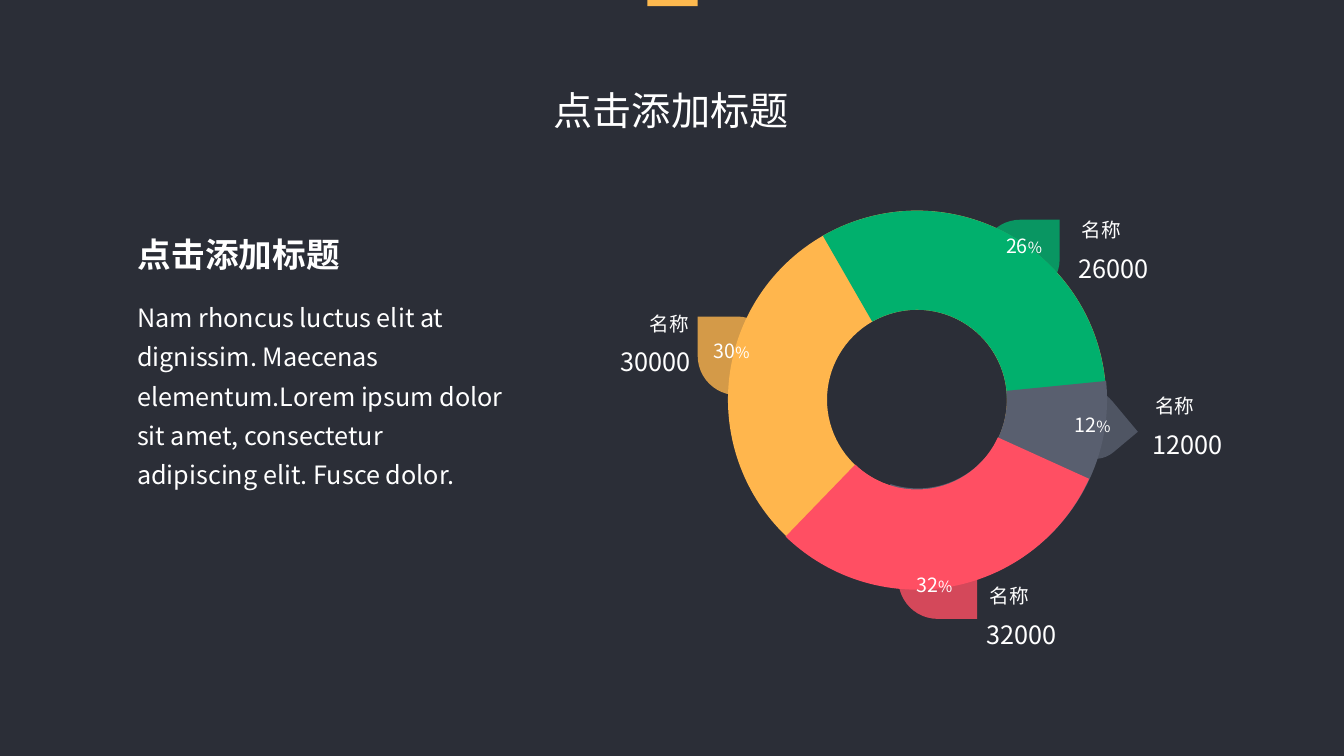
import lxml.etree
import pptx
import pptx.dml.color
import pptx.enum.shapes
import pptx.enum.text
import pptx.oxml.ns
import pptx.util

Inches = pptx.util.Inches
Pt = pptx.util.Pt
SHAPES = pptx.enum.shapes.MSO_SHAPE
ALIGN = pptx.enum.text.PP_ALIGN
AUTO_SIZE = pptx.enum.text.MSO_AUTO_SIZE
qn = pptx.oxml.ns.qn

FONT = "Noto Sans CJK SC"
COLORS = {
    "background": "2B2E37",
    "text": "FFFFFF",
    "tab": "FDB94F",
    "yellow": "FFB64D",
    "green": "01B06D",
    "gray": "595F6F",
    "red": "FF4F63",
}
RING_BOX = (7.22, 2.09, 3.75, 3.75)
RING_THICKNESS = 0.262

TEARDROPS = [
    ("yellow", (6.92, 3.14, 0.78, 0.78), 270),
    ("red", (8.91, 5.36, 0.78, 0.78), 90),
    ("gray", (10.4, 3.87, 0.78, 0.64), 50.1),
]
ARCS = [
    ("green", RING_BOX, 0, False, (144.085, 215.374, 0.262)),
    ("gray", (7.23, 2.09, 3.75, 3.75), 354, True, (147.591, 215.789, 0.265)),
    ("red", (7.22, 2.1, 3.75, 3.75), 20, True, (147.591, 213.345, 0.265)),
]
SHARES = [
    ("26", 9.88, 2.27, 0.68),
    ("12", 10.56, 4.05, 0.63),
    ("32", 8.99, 5.63, 0.67),
    ("30", 6.98, 3.31, 0.67),
]
LABELS = [
    ("26000", 10.63, 2.11, ALIGN.LEFT),
    ("12000", 11.36, 3.86, ALIGN.LEFT),
    ("30000", 6.21, 3.04, ALIGN.RIGHT),
    ("32000", 9.72, 5.74, ALIGN.LEFT),
]


def color(name):
    return pptx.dml.color.RGBColor.from_string(COLORS[name])


def add_run(paragraph, text, size, bold=False):
    run = paragraph.add_run()
    run.text = text
    run.font.size = Pt(size)
    run.font.bold = bold
    run.font.name = FONT
    run.font.color.rgb = color("text")
    east_asian = lxml.etree.Element(qn("a:ea"), typeface=FONT)
    run.font._element.find(qn("a:latin")).addnext(east_asian)


def write_text(shape, text, size=14, bold=False, align=ALIGN.LEFT,
               wrap=False, line_spacing=None, suffix=None, suffix_size=11):
    frame = shape.text_frame
    frame.word_wrap = wrap
    frame.auto_size = AUTO_SIZE.SHAPE_TO_FIT_TEXT
    frame.vertical_anchor = pptx.enum.text.MSO_ANCHOR.TOP
    paragraph = frame.paragraphs[0]
    paragraph.alignment = align
    if line_spacing:
        paragraph.line_spacing = line_spacing
    add_run(paragraph, text, size, bold)
    if suffix:
        add_run(paragraph, suffix, suffix_size, bold)
    return paragraph


def add_text(slide, box, text, **text_format):
    shape = slide.shapes.add_textbox(*map(Inches, box))
    write_text(shape, text, **text_format)


def fill_placeholder(placeholder, box, text, **text_format):
    placeholder.left, placeholder.top, placeholder.width, placeholder.height = map(Inches, box)
    paragraph = write_text(placeholder, text, **text_format)
    paragraph.space_before = Pt(0)
    return paragraph


def remove_bullet(paragraph):
    properties = paragraph._p.get_or_add_pPr()
    properties.set("marL", "0")
    properties.set("indent", "0")
    lxml.etree.SubElement(properties, qn("a:buNone"))


def add_shape(slide, kind, box, fill, rotation=0, flipped=False, adjustments=(), opacity=None):
    shape = slide.shapes.add_shape(kind, *map(Inches, box))
    shape.shadow.inherit = False
    shape.fill.solid()
    shape.fill.fore_color.rgb = color(fill)
    shape.line.fill.background()
    shape.rotation = rotation
    for index, value in enumerate(adjustments):
        shape.adjustments[index] = value
    if flipped:
        shape._element.spPr.find(qn("a:xfrm")).set("flipV", "1")
    if opacity:
        fill_color = shape._element.spPr.find(qn("a:solidFill"))[0]
        lxml.etree.SubElement(fill_color, qn("a:alpha"), val=str(opacity * 1000))


def add_ring(slide):
    for fill, box, rotation in TEARDROPS:
        add_shape(slide, SHAPES.TEAR, box, fill, rotation, opacity=80)
    add_shape(slide, SHAPES.DONUT, RING_BOX, "yellow", adjustments=(RING_THICKNESS,))
    for fill, box, rotation, flipped, adjustments in ARCS:
        add_shape(slide, SHAPES.BLOCK_ARC, box, fill, rotation, flipped, adjustments)
    add_shape(slide, SHAPES.TEAR, (9.73, 2.18, 0.78, 0.78), "green", opacity=80)


def add_label(slide, value, left, top, align):
    value_left = left - 0.29 if align == ALIGN.RIGHT else left - 0.03
    add_text(slide, (left, top, 0.72, 0.41), "名称", align=align)
    add_text(slide, (value_left, top + 0.35, 1.03, 0.49), value, size=18, align=align)


def main():
    presentation = pptx.Presentation()
    presentation.slide_width = Inches(13.33)
    presentation.slide_height = Inches(7.5)
    slide = presentation.slides.add_slide(presentation.slide_layouts[1])
    slide.background.fill.solid()
    slide.background.fill.fore_color.rgb = color("background")

    add_ring(slide)
    for share, left, top, width in SHARES:
        add_text(slide, (left, top, width, 0.41), share, suffix="%")
    for label in LABELS:
        add_label(slide, *label)

    add_shape(slide, SHAPES.RECTANGLE, (6.63, -0.23, 0.08, 0.5), "tab", 270)
    fill_placeholder(slide.shapes.title, (5.39, 0.81, 2.56, 0.57), "点击添加标题", size=28)
    add_text(slide, (1.27, 2.27, 2.22, 0.51), "点击添加标题", size=24, bold=True)
    body = fill_placeholder(
        slide.placeholders[1], (1.26, 2.86, 3.86, 2.07),
        "Nam rhoncus luctus elit at dignissim. Maecenas elementum.Lorem ipsum dolor "
        "sit amet, consectetur adipiscing elit. Fusce dolor.",
        size=18, wrap=True, line_spacing=1.3)
    remove_bullet(body)

    presentation.save("out.pptx")


if __name__ == "__main__":
    main()
